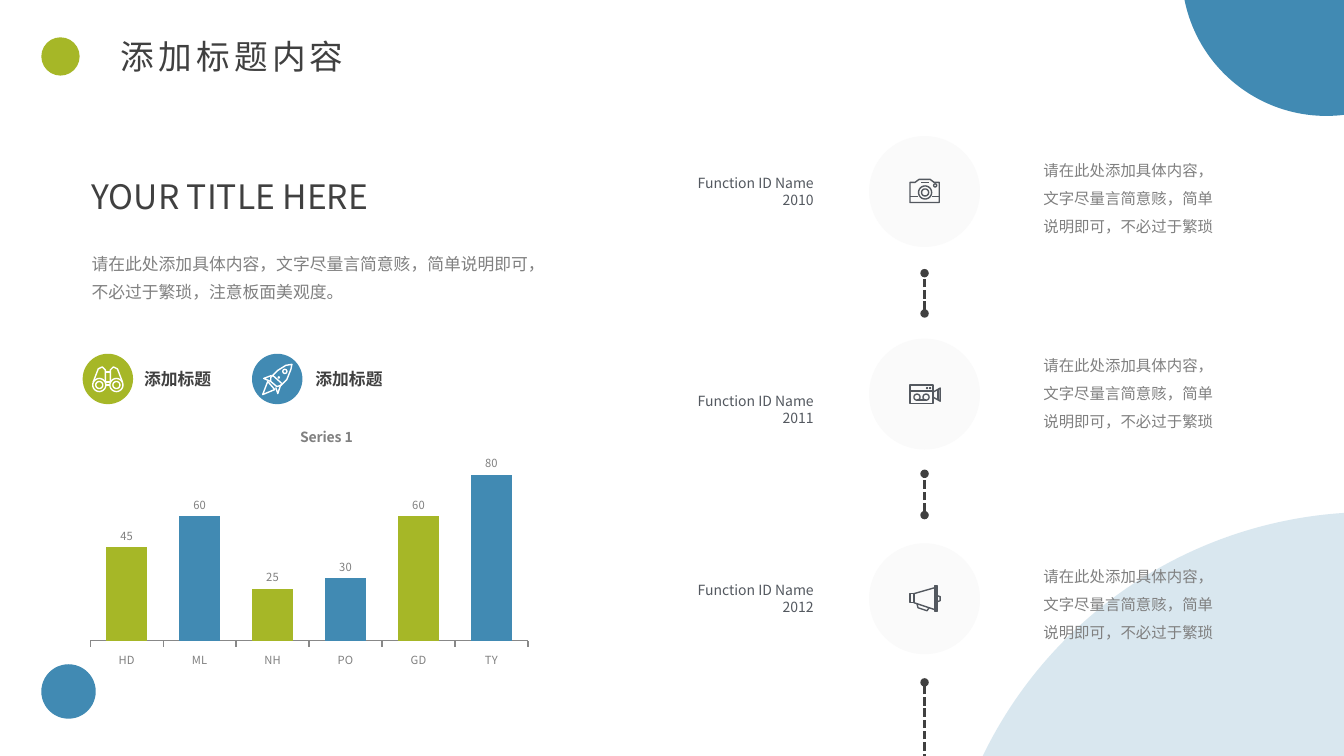
import math
from dataclasses import dataclass

import pptx
import pptx.chart.data
import pptx.dml.color
import pptx.enum.chart
import pptx.enum.dml
import pptx.enum.shapes
import pptx.enum.text
import pptx.oxml.ns
import pptx.util
from lxml import etree

PX = 9144
ALIGN = pptx.enum.text.PP_ALIGN
ANCHOR = pptx.enum.text.MSO_ANCHOR
qn = pptx.oxml.ns.qn


@dataclass(frozen=True)
class Theme:
    """Colours, fonts and type sizes of the slide."""
    blue: str = "418AB3"
    green: str = "A6B727"
    dark: str = "404040"
    slate: str = "53585F"
    grey: str = "808080"
    axis: str = "888888"
    pale: str = "FAFAFA"
    white: str = "FFFFFF"
    font: str = "Noto Sans CJK SC"
    title_font: str = "Lato"
    title: int = 24
    body: int = 12
    note: int = 11
    label: int = 10
    chart: int = 8


THEME = Theme()


def ring(x, y, radius):
    """Return the points of a closed circle around x, y."""
    turns = [math.tau * step / 24 for step in range(25)]
    return [(x + radius * math.cos(t), y + radius * math.sin(t)) for t in turns]


def loop(*points):
    """Return the points of a closed outline."""
    return [*points, points[0]]


CAMERA = (31, 26, [
    loop((1, 4), (6, 4), (10, 1), (21, 1), (25, 4), (30, 4), (30, 24), (1, 24)),
    ring(16, 14, 6.5), ring(16, 14, 3.5), ring(26, 7, 1.5),
    [(1, 18), (9, 18)], [(23, 18), (30, 18)], [(12, 4), (20, 4)]])
VIDEO = (31, 20, [
    loop((1, 1), (24, 1), (24, 19), (1, 19)), [(1, 7), (24, 7)],
    loop((24, 8), (31, 4), (31, 17), (24, 13)), [(29, 5), (29, 16)],
    ring(8, 13, 3), ring(17, 13, 3), [(8, 16), (17, 16)],
    ring(18, 4, 0.4), ring(21, 4, 0.4)])
MEGAPHONE = (31, 28, [
    loop((5, 9), (26, 3), (26, 25), (5, 18)),
    loop((26, 1), (28, 1), (28, 27), (26, 27)),
    loop((1, 9), (5, 9), (5, 18), (1, 18)),
    [(8, 19), (9, 23), (18, 26), (20, 23)],
    [(28, 11), (31, 12), (31, 16), (28, 17)]])
BINOCULARS = (31, 26, [
    ring(7, 19, 6.5), ring(24, 19, 6.5), ring(7, 19, 3.5), ring(24, 19, 3.5),
    [(1, 16), (6, 3), (10, 1), (13, 4), (13, 16)],
    [(30, 16), (25, 3), (21, 1), (18, 4), (18, 16)],
    [(13, 6), (18, 6)], [(13, 16), (18, 16)], [(13, 19), (18, 19)]])
ROCKET = (31, 31, [
    loop((30, 1), (29, 6), (25, 16), (19, 22), (15, 23), (9, 18), (9, 14),
         (16, 7), (24, 2)),
    ring(23, 8, 2), [(11, 12), (20, 20)], ring(17, 14, 0.5),
    [(10, 12), (2, 15), (9, 18)], [(19, 21), (16, 30), (14, 24)],
    loop((6, 18), (1, 31), (13, 26))])


def rgb(code):
    """Turn a hex code into a colour."""
    return pptx.dml.color.RGBColor.from_string(code)


def emu(*lengths):
    """Turn lengths in px into EMU."""
    return [round(length * PX) for length in lengths]


def write(frame, lines, size, color, font=THEME.font, bold=False,
          align=ALIGN.LEFT, leading=None, spacing=None):
    """Fill a text frame with one run per line."""
    frame.word_wrap = True
    frame.auto_size = pptx.enum.text.MSO_AUTO_SIZE.NONE
    for number, line in enumerate(lines):
        paragraph = frame.add_paragraph() if number else frame.paragraphs[0]
        paragraph.alignment = align
        if leading:
            paragraph.line_spacing = pptx.util.Pt(leading)
        run = paragraph.add_run()
        run.text = line
        run.font.size = pptx.util.Pt(size)
        run.font.bold = bold
        run.font.name = font
        run.font.color.rgb = rgb(color)
        properties = run.font._element
        etree.SubElement(properties, qn("a:ea")).set("typeface", THEME.font)
        if spacing:
            properties.set("spc", str(spacing))


def text(slide, box, lines, size, color, **style):
    """Add a text box and return its frame."""
    frame = slide.shapes.add_textbox(*emu(*box)).text_frame
    write(frame, lines, size, color, **style)
    return frame


def disc(slide, left, top, diameter, color, opacity=100):
    """Add a plain circle."""
    circle = slide.shapes.add_shape(pptx.enum.shapes.MSO_SHAPE.OVAL,
                                    *emu(left, top, diameter, diameter))
    circle.shadow.inherit = False
    circle.line.fill.background()
    circle.fill.solid()
    circle.fill.fore_color.rgb = rgb(color)
    if opacity < 100:
        tint = circle.element.spPr.find(".//" + qn("a:srgbClr"))
        etree.SubElement(tint, qn("a:alpha")).set("val", str(opacity * 1000))


def icon(slide, center, drawing, color):
    """Draw a line icon around a centre point."""
    width, height, strokes = drawing
    left, top = center[0] - width / 2, center[1] - height / 2
    contours = [[tuple(emu(left + x, top + y)) for x, y in stroke] for stroke in strokes]
    builder = slide.shapes.build_freeform(*contours[0][0], scale=1)
    for number, contour in enumerate(contours):
        if number:
            builder.move_to(*contour[0])
        builder.add_line_segments(contour[1:], close=False)
    outline = builder.convert_to_shape()
    outline.shadow.inherit = False
    outline.fill.background()
    outline.line.color.rgb = rgb(color)
    outline.line.width = pptx.util.Pt(1)


def link(slide, x, bottom, top, ends):
    """Add a dashed upright connector with round ends."""
    line = slide.shapes.add_connector(pptx.enum.shapes.MSO_CONNECTOR.STRAIGHT,
                                      *emu(x, bottom, x, top))
    line.line.color.rgb = rgb(THEME.dark)
    line.line.width = pptx.util.Pt(2)
    line.line.dash_style = pptx.enum.dml.MSO_LINE.SQUARE_DOT
    for end in ends:
        etree.SubElement(line.line._ln, qn("a:" + end)).set("type", "oval")
    etree.SubElement(line.element.spPr, qn("a:effectLst"))


def set_layout(parent, **places):
    """Give a chart part a manual layout."""
    layout = parent.find(qn("c:layout"))
    if layout is None:
        layout = etree.Element(qn("c:layout"))
        parent.insert(0, layout)
    manual = etree.SubElement(layout, qn("c:manualLayout"))
    for tag, value in places.items():
        etree.SubElement(manual, qn("c:" + tag)).set("val", str(value))


def column_chart(slide, box):
    """Add the column chart with alternating colours."""
    kinds = pptx.enum.chart
    values = pptx.chart.data.CategoryChartData(number_format="0")
    values.categories = ["HD", "ML", "NH", "PO", "GD", "TY"]
    values.add_series("Series 1", [45, 60, 25, 30, 60, 80])
    chart = slide.shapes.add_chart(kinds.XL_CHART_TYPE.COLUMN_CLUSTERED,
                                   *emu(*box), values).chart
    chart.font.size = pptx.util.Pt(THEME.chart)
    chart.font.name = THEME.font
    chart.font.color.rgb = rgb(THEME.grey)
    chart.has_legend = False
    write(chart.chart_title.text_frame, ["Series 1"], THEME.label, THEME.grey, bold=True)
    heading = chart.element.find(".//" + qn("c:title"))
    heading.find(qn("c:overlay")).set("val", "1")
    set_layout(heading, xMode="edge", yMode="edge", x=0.48, y=0.03)
    set_layout(chart.element.find(".//" + qn("c:plotArea")), layoutTarget="inner",
               xMode="edge", yMode="edge", x=0.017, y=0.07, w=0.978, h=0.814)
    names, scale = chart.category_axis, chart.value_axis
    names.tick_label_position = kinds.XL_TICK_LABEL_POSITION.LOW
    names.major_tick_mark = kinds.XL_TICK_MARK.OUTSIDE
    names.format.line.color.rgb = rgb(THEME.axis)
    names.format.line.width = pptx.util.Pt(1)
    scale.minimum_scale, scale.maximum_scale, scale.major_unit = 0, 100, 20
    scale.has_major_gridlines = False
    scale.major_tick_mark = kinds.XL_TICK_MARK.NONE
    scale.tick_label_position = kinds.XL_TICK_LABEL_POSITION.NONE
    scale.format.line.fill.background()
    plot = chart.plots[0]
    plot.gap_width, plot.overlap, plot.vary_by_categories = 80, -27, False
    series = plot.series[0]
    for number in range(6):
        fill = series.points[number].format.fill
        fill.solid()
        fill.fore_color.rgb = rgb((THEME.green, THEME.blue)[number % 2])
    labels = series.data_labels
    labels.show_value = True
    labels.position = kinds.XL_LABEL_POSITION.OUTSIDE_END
    labels.font.size = pptx.util.Pt(THEME.chart)
    labels.font.name = THEME.font
    labels.font.color.rgb = rgb(THEME.grey)


def header(slide, left, top):
    """Place the background circles and the slide title."""
    disc(slide, 932, 508, 857, THEME.blue, opacity=20)
    disc(slide, 1172, -172, 287, THEME.blue)
    disc(slide, left, 659, 54, THEME.blue)
    disc(slide, left, top + 6, 38, THEME.green)
    title = slide.shapes.title
    title.left, title.top, title.width, title.height = emu(left + 69, top, 256, 50)
    title.text_frame.vertical_anchor = ANCHOR.TOP
    write(title.text_frame, ["添加标题内容"], THEME.title, THEME.dark,
          font=THEME.title_font, spacing=300)


def overview(slide, left, top):
    """Place the left column: heading, summary, key and chart."""
    text(slide, (left, top, 348, 47), ["YOUR TITLE HERE"], THEME.title, THEME.dark)
    text(slide, (left, top + 69, 455, 63),
         ["请在此处添加具体内容，文字尽量言简意赅，简单说明即可，不必过于繁琐，注意板面美观度。"],
         THEME.body, THEME.grey, leading=20)
    keys = ((THEME.green, BINOCULARS), (THEME.blue, ROCKET))
    for number, (color, drawing) in enumerate(keys):
        x, y = left + 1 + 168 * number, top + 181
        disc(slide, x, y, 50, color)
        icon(slide, (x + 25, y + 25), drawing, THEME.white)
        text(slide, (x + 51 + 2 * number, y + 10, 119, 30), ["添加标题"],
             THEME.body, THEME.dark, bold=True)
    column_chart(slide, (left + 1, top + 242, 444, 253))


def timeline(slide, left):
    """Place the right column: three years joined by dashed links."""
    axis = left + 230
    stops = (("2010", CAMERA, 135, 168, 145), ("2011", VIDEO, 336, 384, 339),
             ("2012", MEGAPHONE, 539, 572, 548))
    for year, drawing, circle_top, label_top, note_top in stops:
        disc(slide, axis - 55, circle_top, 110, THEME.pale)
        icon(slide, (axis, circle_top + 55), drawing, THEME.slate)
        label = text(slide, (left, label_top, 123, 44), ["Function ID Name", year],
                     THEME.label, THEME.slate, align=ALIGN.RIGHT)
        label.vertical_anchor = ANCHOR.MIDDLE
        label.margin_left = label.margin_right = label.margin_top = label.margin_bottom = 3 * PX
        text(slide, (left + 338, note_top, 196, 91),
             ["请在此处添加具体内容，文字尽量言简意赅，简单说明即可，不必过于繁琐"],
             THEME.note, THEME.grey, leading=20)
    both = ("headEnd", "tailEnd")
    for bottom, top, ends in ((311, 271, both), (511, 470, both), (756, 677, both[1:])):
        link(slide, axis, bottom, top, ends)


def main():
    """Build the slide and save it."""
    deck = pptx.Presentation()
    deck.slide_width, deck.slide_height = emu(1333, 750)
    slide = deck.slides.add_slide(deck.slide_layouts[5])
    header(slide, 41, 31)
    overview(slide, 81, 170)
    timeline(slide, 687)
    deck.save("out.pptx")


if __name__ == "__main__":
    main()
